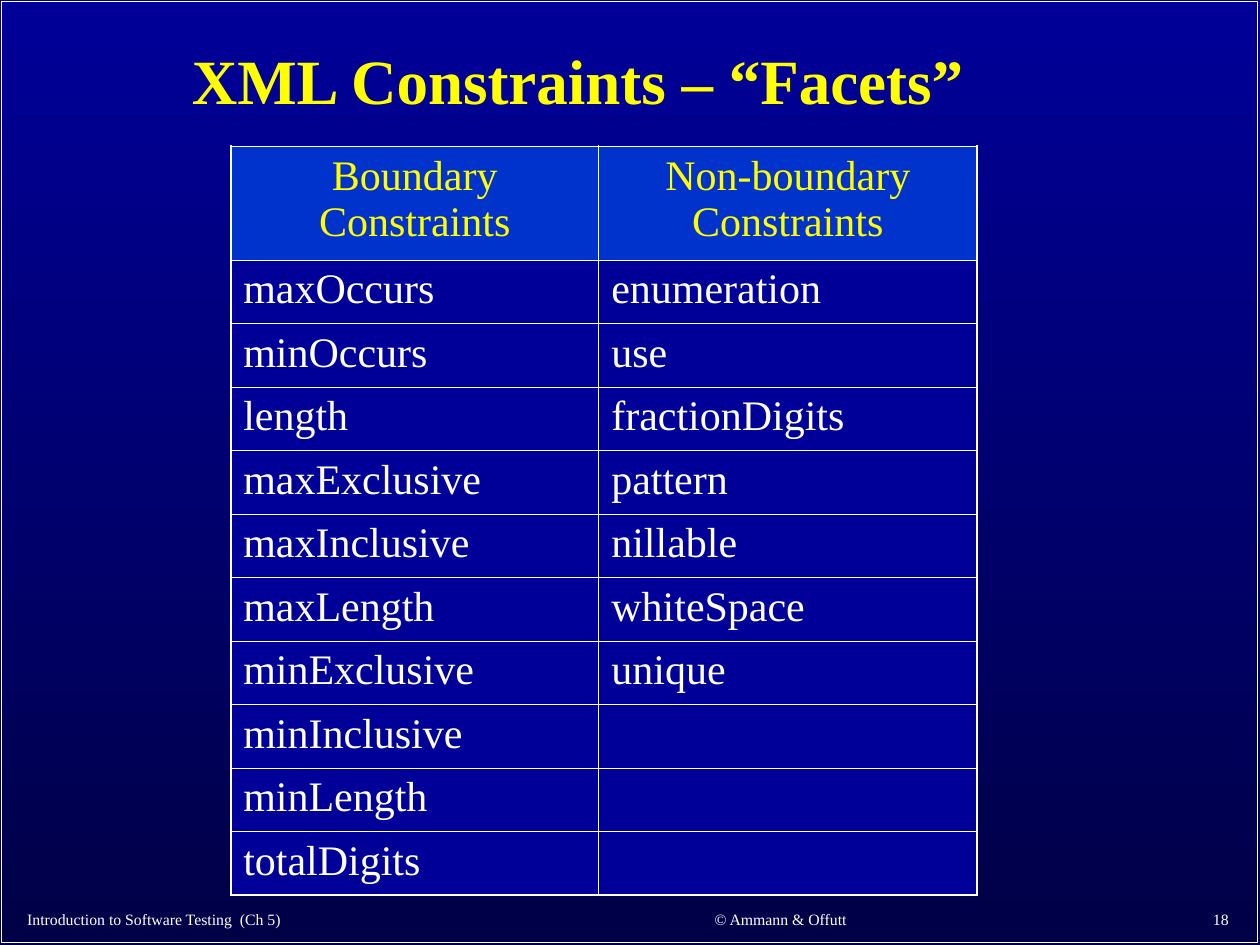
from dataclasses import dataclass
from itertools import zip_longest

from lxml.etree import SubElement
from pptx import Presentation
from pptx.dml.color import RGBColor
from pptx.enum.shapes import MSO_SHAPE
from pptx.enum.text import MSO_ANCHOR, MSO_AUTO_SIZE, PP_ALIGN
from pptx.oxml.ns import qn
from pptx.slide import Slide
from pptx.table import _Cell
from pptx.text.text import _Paragraph
from pptx.util import Cm, Pt

FACE = "Times New Roman"
WHITE = RGBColor(0xFF, 0xFF, 0xFF)
YELLOW = RGBColor(0xFF, 0xFF, 0x00)
NAVY = RGBColor(0x00, 0x00, 0x99)
DARK = RGBColor(0x00, 0x00, 0x47)
BLUE = RGBColor(0x00, 0x33, 0xCC)
THIN, THICK = Pt(0.45), Pt(1.08)

HEADS = ("Boundary Constraints", "Non-boundary Constraints")
BOUNDS = ("maxOccurs", "minOccurs", "length", "maxExclusive", "maxInclusive",
          "maxLength", "minExclusive", "minInclusive", "minLength",
          "totalDigits")
OTHERS = ("enumeration", "use", "fractionDigits", "pattern", "nillable",
          "whiteSpace", "unique")


@dataclass
class Note:
    text: str
    left: float
    top: float
    width: float
    height: float
    align: PP_ALIGN


NOTES = (
    Note("Introduction to Software Testing  (Ch 5)",
         0.3, 18.06, 10.85, 0.79, PP_ALIGN.LEFT),
    Note("© Ammann & Offutt", 11.71, 18.14, 8.05, 0.71, PP_ALIGN.CENTER),
    Note("18", 20.02, 18.11, 5, 0.74, PP_ALIGN.RIGHT),
)


def style(para: _Paragraph, size: float, color: RGBColor, align: PP_ALIGN,
          bold: bool = False) -> None:
    para.alignment = align
    font = para.font
    font.name, font.size, font.bold = FACE, Pt(size), bold
    font.color.rgb = color


def add_note(slide: Slide, note: Note) -> None:
    box = slide.shapes.add_textbox(Cm(note.left), Cm(note.top),
                                   Cm(note.width), Cm(note.height))
    frame = box.text_frame
    frame.word_wrap = False
    frame.vertical_anchor = MSO_ANCHOR.BOTTOM
    frame.text = note.text
    style(frame.paragraphs[0], 9, WHITE, note.align)


def add_edge(cell: _Cell, side: str, width: int) -> None:
    props = cell._tc.get_or_add_tcPr()
    line = SubElement(props, qn(f"a:ln{side}"), w=str(int(width)))
    fill = SubElement(line, qn("a:solidFill"))
    SubElement(fill, qn("a:srgbClr"), val=str(WHITE))


def add_grid(slide: Slide) -> None:
    rows = [HEADS, *zip_longest(BOUNDS, OTHERS, fillvalue="")]
    table = slide.shapes.add_table(len(rows), 2, Cm(4.65), Cm(2.95),
                                   Cm(15.04), Cm(15)).table
    table.first_row = table.horz_banding = False
    for col, width in zip(table.columns, (7.42, 7.62)):
        col.width = Cm(width)
    last = len(rows) - 1
    for r, words in enumerate(rows):
        head = r == 0
        table.rows[r].height = Cm(2.29 if head else 1.28)
        for c, word in enumerate(words):
            cell = table.cell(r, c)
            # Outer edges are heavier than inner ones
            outer = {"L": c == 0, "R": c == 1, "T": head, "B": r == last}
            for side, heavy in outer.items():
                add_edge(cell, side, THICK if heavy else THIN)
            cell.fill.solid()
            cell.fill.fore_color.rgb = BLUE if head else NAVY
            cell.text = word
            style(cell.text_frame.paragraphs[0], 24,
                  YELLOW if head else WHITE,
                  PP_ALIGN.CENTER if head else PP_ALIGN.LEFT)


def main() -> None:
    deck = Presentation()
    deck.slide_width, deck.slide_height = Cm(25.4), Cm(19.05)
    slide = deck.slides.add_slide(deck.slide_layouts[5])

    # Background gradient, running downwards
    fill = slide.background.fill
    fill.gradient()
    fill.gradient_angle = 270
    for stop, color in zip(fill.gradient_stops, (NAVY, DARK)):
        stop.color.rgb = color

    # Frame round the slide
    frame = slide.shapes.add_shape(MSO_SHAPE.RECTANGLE, Cm(0.03), Cm(0.03),
                                   Cm(25.32), Cm(18.97))
    frame.shadow.inherit = False
    frame.fill.background()
    frame.line.color.rgb = WHITE
    frame.line.width = Pt(1)

    # Title
    title = slide.shapes.title
    title.left, title.top = Cm(1.06), Cm(0)
    title.width, title.height = Cm(21.17), Cm(3.39)
    body = title.text_frame
    body.text = "XML Constraints – “Facets”"
    body.auto_size = MSO_AUTO_SIZE.NONE
    body.vertical_anchor = MSO_ANCHOR.MIDDLE
    body.paragraphs[0].line_spacing = 0.9
    style(body.paragraphs[0], 36, YELLOW, PP_ALIGN.CENTER, True)

    # Table and footer
    add_grid(slide)
    for note in NOTES:
        add_note(slide, note)

    deck.save("out.pptx")


if __name__ == "__main__":
    main()
